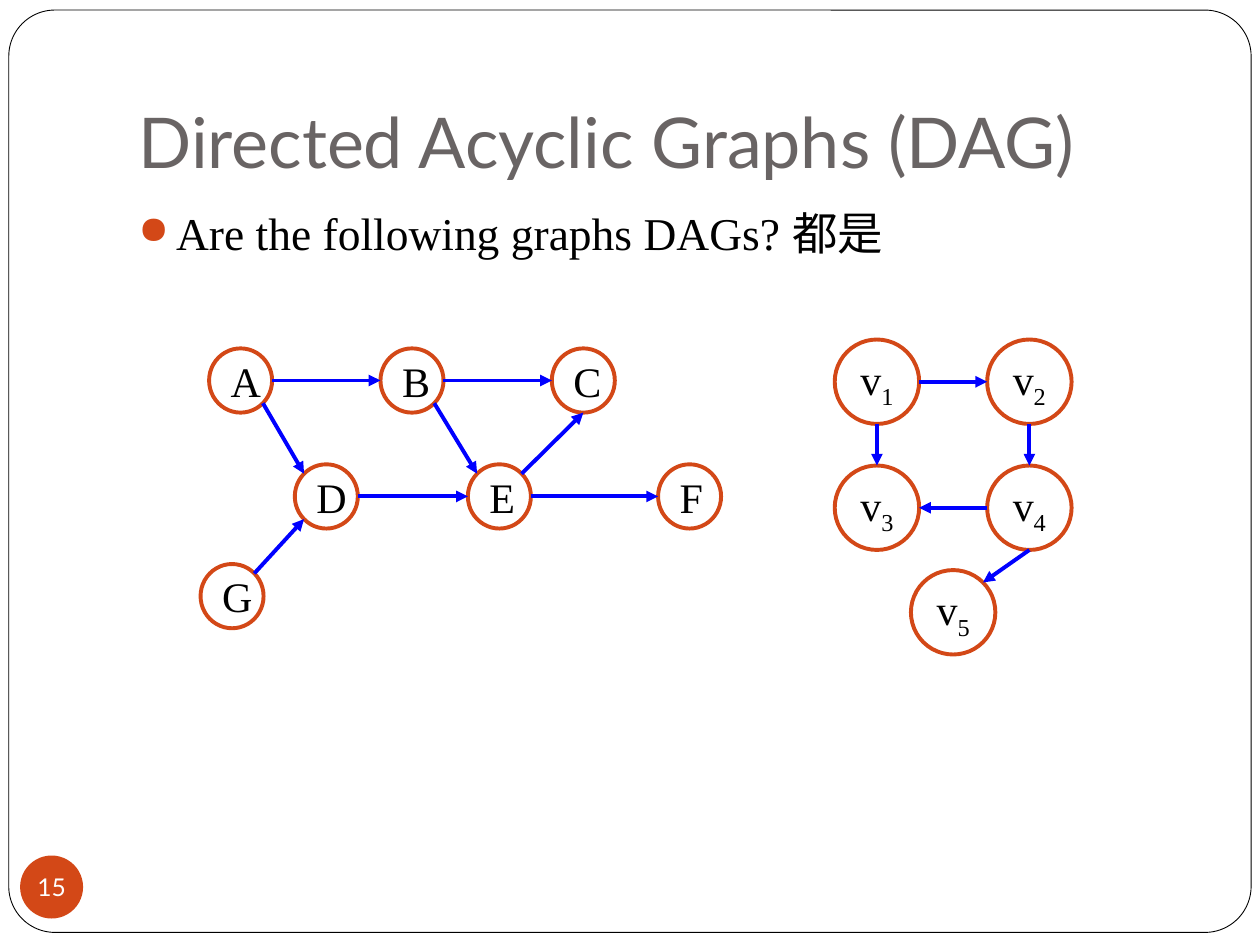
import dataclasses
import math

import pptx
import pptx.dml.color
import pptx.enum.shapes
import pptx.enum.text
import pptx.oxml
import pptx.oxml.ns
import pptx.util

RGBColor = pptx.dml.color.RGBColor
ORANGE = RGBColor(0xD3, 0x48, 0x17)
BLUE = RGBColor(0x00, 0x00, 0xFF)
GREY = RGBColor(0x69, 0x64, 0x64)
BLACK = RGBColor(0x00, 0x00, 0x00)
WHITE = RGBColor(0xFF, 0xFF, 0xFF)

SANS, SERIF = "Lato", "Times New Roman"
WIDTH, HEIGHT = 10, 7.5
NS = 'xmlns:a="http://schemas.openxmlformats.org/drawingml/2006/main"'
SHAPE = pptx.enum.shapes.MSO_SHAPE
ALIGN = pptx.enum.text.PP_ALIGN
ANCHOR = pptx.enum.text.MSO_ANCHOR

DIAGONAL = math.sqrt(0.5)
SITES = {
    "N": (0, -1), "E": (1, 0), "S": (0, 1), "W": (-1, 0),
    "NE": (DIAGONAL, -DIAGONAL), "SE": (DIAGONAL, DIAGONAL),
    "SW": (-DIAGONAL, DIAGONAL), "NW": (-DIAGONAL, -DIAGONAL),
}


@dataclasses.dataclass(frozen=True)
class Node:
    label: str
    col: float
    row: float
    subscript: str = ""


@dataclasses.dataclass(frozen=True)
class Edge:
    """An arrow between two nodes, leaving and arriving at compass sites."""
    start: str
    start_site: str
    end: str
    end_site: str


@dataclasses.dataclass(frozen=True)
class Graph:
    """Nodes on a grid; lengths are in inches, the origin is a node centre."""
    origin: tuple[float, float]
    pitch: tuple[float, float]
    node_size: tuple[float, float]
    nodes: list[Node]
    edges: list[Edge]

    def centre(self, node: Node) -> tuple[float, float]:
        return (self.origin[0] + node.col * self.pitch[0],
                self.origin[1] + node.row * self.pitch[1])

    def site(self, name: str, site: str) -> tuple[float, float]:
        node = next(n for n in self.nodes if n.label + n.subscript == name)
        x, y = self.centre(node)
        dx, dy = SITES[site]
        return x + dx * self.node_size[0] / 2, y + dy * self.node_size[1] / 2


LETTERS = Graph(
    origin=(1.91, 3.02), pitch=(1.36, 0.92), node_size=(0.5, 0.51),
    nodes=[Node("A", 0, 0), Node("B", 1, 0), Node("C", 2, 0),
           Node("D", 0.5, 1), Node("E", 1.51, 1), Node("F", 2.62, 1),
           Node("G", -0.05, 1.86)],
    edges=[Edge("A", "E", "B", "W"), Edge("B", "E", "C", "W"),
           Edge("A", "SE", "D", "NW"), Edge("D", "E", "E", "W"),
           Edge("E", "E", "F", "W"), Edge("B", "SE", "E", "NW"),
           Edge("E", "NE", "C", "S"), Edge("G", "NE", "D", "SW")],
)
VERTICES = Graph(
    origin=(6.96, 3.03), pitch=(1.21, 1), node_size=(0.67, 0.67),
    nodes=[Node("v", 0, 0, "1"), Node("v", 1, 0, "2"), Node("v", 0, 1, "3"),
           Node("v", 1, 1, "4"), Node("v", 0.5, 1.83, "5")],
    edges=[Edge("v1", "E", "v2", "W"), Edge("v1", "S", "v3", "N"),
           Edge("v4", "W", "v3", "E"), Edge("v2", "S", "v4", "N"),
           Edge("v4", "S", "v5", "NE")],
)


def add_text(p, text: str, *, size: float, font: str = SERIF,
             color: RGBColor = BLACK, baseline: int = 0) -> None:
    """Add a run; baseline is a percentage, negative for a subscript."""
    r = p.add_run()
    r.text = text
    r.font.size = pptx.util.Pt(size)
    r.font.name = font
    r.font.color.rgb = color
    if baseline:
        r._r.get_or_add_rPr().set("baseline", str(baseline * 1000))


def box(x: float, y: float, w: float, h: float) -> list[int]:
    return [pptx.util.Inches(v) for v in (x, y, w, h)]


def shares(x: float, y: float, w: float, h: float) -> list[int]:
    """Turn shares of the slide's size into lengths."""
    return box(x * WIDTH, y * HEIGHT, w * WIDTH, h * HEIGHT)


def add_outline(s, kind, place: list[int], color: RGBColor, width: float):
    sp = s.shapes.add_shape(kind, *place)
    sp.shadow.inherit = False
    sp.fill.background()
    sp.line.color.rgb = color
    sp.line.width = pptx.util.Pt(width)
    return sp


def draw_node(s, graph: Graph, node: Node) -> None:
    (x, y), (w, h) = graph.centre(node), graph.node_size
    sp = add_outline(s, SHAPE.OVAL, box(x - w / 2, y - h / 2, w, h), ORANGE, 2.25)
    tf = sp.text_frame
    tf.vertical_anchor = ANCHOR.MIDDLE
    p = tf.paragraphs[0]
    p.alignment = ALIGN.CENTER
    add_text(p, node.label, size=24)
    if node.subscript:
        add_text(p, node.subscript, size=24, baseline=-25)


def draw_edge(s, graph: Graph, edge: Edge) -> None:
    ends = (*graph.site(edge.start, edge.start_site),
            *graph.site(edge.end, edge.end_site))
    line = s.shapes.add_connector(
        pptx.enum.shapes.MSO_CONNECTOR.STRAIGHT, *box(*ends))
    line.line.color.rgb = BLUE
    line.line.width = pptx.util.Pt(2.25)
    line.line._get_or_add_ln().append(
        pptx.oxml.parse_xml(f'<a:tailEnd {NS} type="triangle"/>'))
    line._element.spPr.append(pptx.oxml.parse_xml(f"<a:effectLst {NS}/>"))


def draw_graph(s, graph: Graph) -> None:
    for node in graph.nodes:
        draw_node(s, graph, node)
    for edge in graph.edges:
        draw_edge(s, graph, edge)


def draw_title(s, text: str) -> None:
    sp = s.shapes.title
    sp.left, sp.top, sp.width, sp.height = shares(0.1, 0.04, 0.85, 1 / 6)
    tf = sp.text_frame
    tf.auto_size = pptx.enum.text.MSO_AUTO_SIZE.NONE
    tf.vertical_anchor = ANCHOR.BOTTOM
    tf.margin_bottom = pptx.util.Inches(0.1)
    p = tf.paragraphs[0]
    p.alignment = ALIGN.LEFT
    add_text(p, text, size=40, font=SANS, color=GREY)


def draw_question(s, text: str) -> None:
    tf = s.shapes.add_textbox(*shares(0.1, 0.21, 0.85, 2 / 3)).text_frame
    tf.word_wrap = True
    p = tf.paragraphs[0]
    p.space_before = pptx.util.Pt(5.8)
    add_text(p, text, size=26)
    pPr = p._p.get_or_add_pPr()
    indent = pptx.util.Inches(0.3)
    pPr.set("marL", str(indent))
    pPr.set("indent", str(-indent))
    for bullet in (f'<a:buClr {NS}><a:srgbClr val="{ORANGE}"/></a:buClr>',
                   f'<a:buSzPct {NS} val="85000"/>',
                   f'<a:buChar {NS} char="●"/>'):
        pPr.append(pptx.oxml.parse_xml(bullet))


def draw_page_number(s, number: str) -> None:
    sp = s.shapes.add_shape(SHAPE.OVAL, *box(0.16, 6.79, 0.5, 0.5))
    sp.shadow.inherit = False
    sp.fill.solid()
    sp.fill.fore_color.rgb = ORANGE
    sp.line.fill.background()
    tf = sp.text_frame
    tf.margin_left = tf.margin_right = tf.margin_top = tf.margin_bottom = 0
    tf.word_wrap = False
    tf.vertical_anchor = ANCHOR.MIDDLE
    p = tf.paragraphs[0]
    p.alignment = ALIGN.CENTER
    add_text(p, number, size=14, font=SANS, color=WHITE)


def main() -> None:
    prs = pptx.Presentation()
    prs.slide_width, prs.slide_height = box(0, 0, WIDTH, HEIGHT)[2:]
    s = prs.slides.add_slide(prs.slide_layouts.get_by_name("Title Only"))
    frame = add_outline(s, SHAPE.ROUNDED_RECTANGLE,
                        box(0.07, 0.08, 9.86, 7.32), BLACK, 0.5)
    frame.adjustments[0] = 0.05
    draw_title(s, "Directed Acyclic Graphs (DAG)")
    draw_page_number(s, "15")
    draw_question(s, "Are the following graphs DAGs? 都是")
    draw_graph(s, VERTICES)
    draw_graph(s, LETTERS)
    prs.save("out.pptx")


if __name__ == "__main__":
    main()
